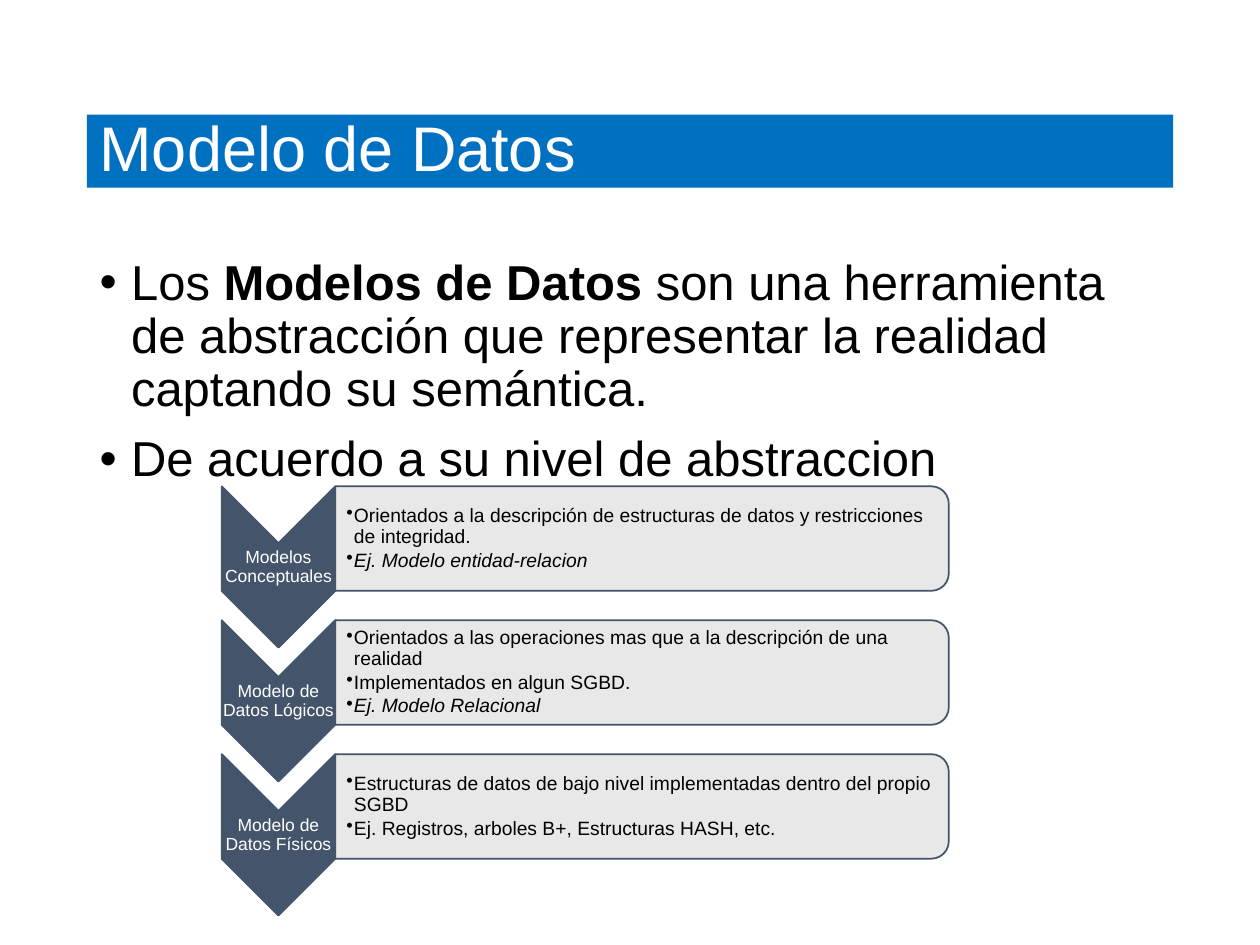
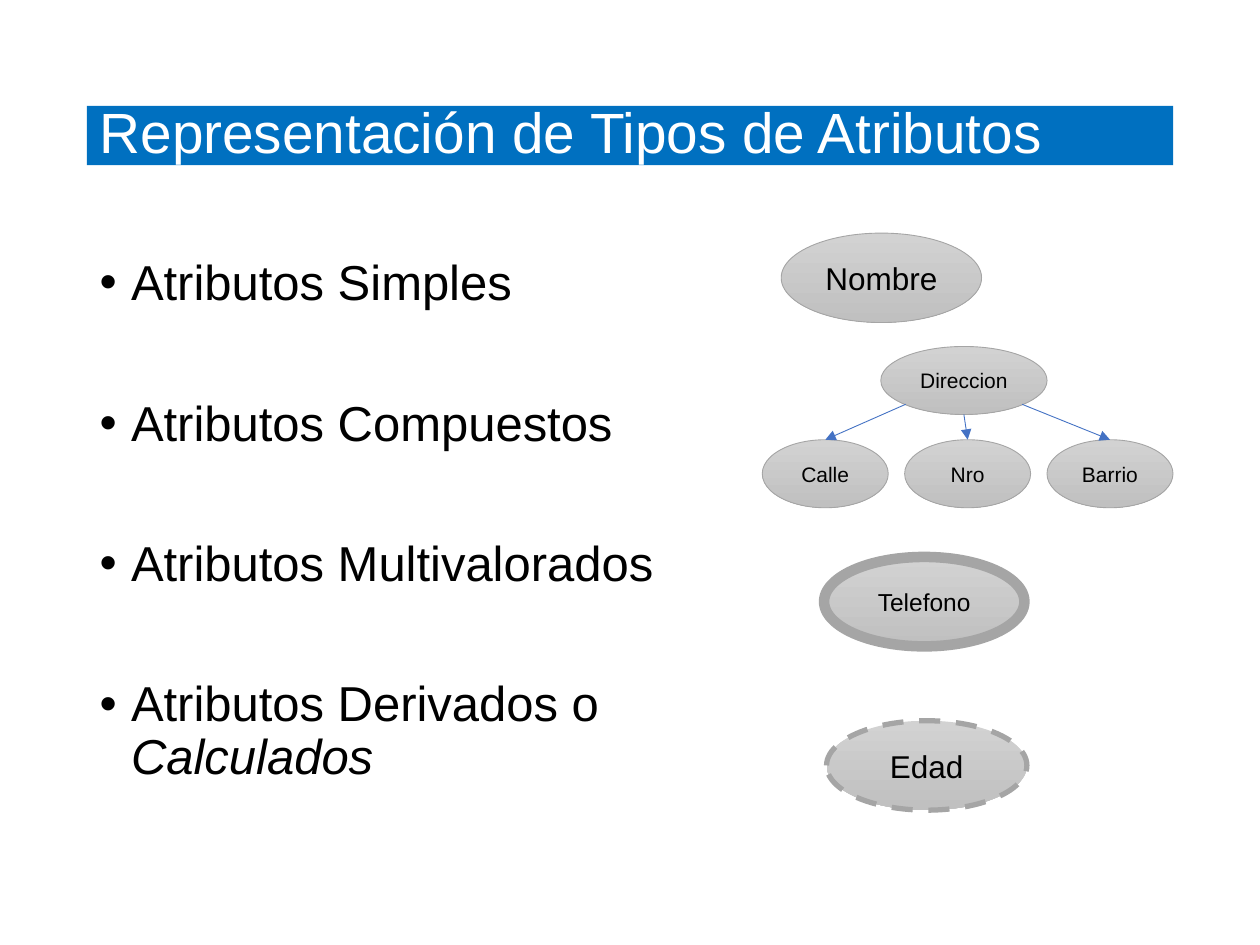
from lxml.etree import SubElement
from pptx import Presentation
from pptx.dml.color import RGBColor
from pptx.enum.dml import MSO_LINE
from pptx.enum.shapes import MSO_CONNECTOR, MSO_SHAPE as SHAPE
from pptx.enum.text import MSO_ANCHOR as ANCHOR, MSO_AUTO_SIZE, PP_ALIGN as ALIGN
from pptx.oxml.ns import qn
from pptx.util import Inches, Pt

COLUMNS, ROWS = 100, 75
WIDTH, HEIGHT = Inches(10), Inches(7.5)
FONT = "Arial"
BLUE, WHITE, BLACK = "0070C0", "FFFFFF", "000000"
SLATE, PANEL = "44546A", "E7E6E6"
GRAY, GRAY_LIGHT, GRAY_DARK, ARROW = "A5A5A5", "D2D2D2", "C0C0C0", "4472C4"
MARGIN, CONTENT_WIDTH = 6.9, 86.2


def color(value):
    return RGBColor.from_string(value)


def write(frame, paragraphs, size, ink=BLACK, align=ALIGN.LEFT, anchor=ANCHOR.MIDDLE,
          spacing=0.9, before=0, after=0, indent=0, insets=None):
    frame.word_wrap = True
    frame.auto_size = MSO_AUTO_SIZE.NONE
    frame.vertical_anchor = anchor
    if insets:
        (frame.margin_left, frame.margin_top,
         frame.margin_right, frame.margin_bottom) = map(Inches, insets)
    for number, runs in enumerate(paragraphs):
        paragraph = frame.add_paragraph() if number else frame.paragraphs[0]
        if indent:
            properties = paragraph._p.get_or_add_pPr()
            properties.set("marL", str(Inches(indent)))
            properties.set("indent", str(-Inches(indent)))
            SubElement(properties, qn("a:buChar"), char="•")
        paragraph.alignment = align
        paragraph.line_spacing = spacing
        paragraph.space_before = Pt(before if number else 0)
        paragraph.space_after = Pt(after)
        for part in [runs] if isinstance(runs, str) else runs:
            text, style = (part, "") if isinstance(part, str) else part
            run = paragraph.add_run()
            run.text = text
            run.font.name = FONT
            run.font.size = Pt(size)
            run.font.color.rgb = color(ink)
            run.font.bold = style == "bold"
            run.font.italic = style == "italic"


class Deck:
    def __init__(self):
        self.presentation = Presentation()
        self.presentation.slide_width, self.presentation.slide_height = WIDTH, HEIGHT
        self.slide = None

    def place(self, left, top, width, height):
        column, row = WIDTH / COLUMNS, HEIGHT / ROWS
        return [int(value) for value in
                (left * column, top * row, width * column, height * row)]

    def move(self, shape, *box):
        shape.left, shape.top, shape.width, shape.height = self.place(*box)

    def start(self, title, top, height, size):
        self.slide = self.presentation.slides.add_slide(self.presentation.slide_layouts[1])
        band = self.slide.shapes.title
        self.move(band, MARGIN, top, CONTENT_WIDTH, height)
        band.fill.solid()
        band.fill.fore_color.rgb = color(BLUE)
        write(band.text_frame, [title], size, ink=WHITE)

    def bullets(self, paragraphs, width, before):
        body = self.slide.placeholders[1]
        self.move(body, MARGIN, 20, width, 47.6)
        write(body.text_frame, paragraphs, 28, anchor=ANCHOR.TOP, before=before, indent=0.25)

    def shape(self, kind, box, line, weight):
        shape = self.slide.shapes.add_shape(kind, *self.place(*box))
        shape.shadow.inherit = False
        shape.line.color.rgb = color(line)
        shape.line.width = Pt(weight)
        return shape

    def turned(self, kind, left, top, width, height, fill, opacity=100):
        shift = (width - height) / 2
        shape = self.shape(kind, (left + shift, top - shift, height, width), SLATE, 1)
        shape.rotation = 90
        shape.fill.solid()
        shape.fill.fore_color.rgb = color(fill)
        if opacity < 100:
            tint = shape.fill._xPr.find(qn("a:solidFill"))[0]
            SubElement(tint, qn("a:alpha"), val=str(opacity * 1000))

    def text(self, paragraphs, box, **style):
        frame = self.slide.shapes.add_textbox(*self.place(*box)).text_frame
        write(frame, paragraphs, **style)

    def attribute(self, label, left, top, width=15.9, height=7.1, size=18,
                  weight=0.5, dashed=False):
        oval = self.shape(SHAPE.OVAL, (left, top, width, height), GRAY, weight)
        oval.fill.gradient()
        oval.fill.gradient_angle = 270
        for stop, shade in zip(oval.fill.gradient_stops, (GRAY_LIGHT, GRAY_DARK)):
            stop.color.rgb = color(shade)
        if dashed:
            oval.line.dash_style = MSO_LINE.DASH
        write(oval.text_frame, [label], size, align=ALIGN.CENTER, spacing=1)

    def arrow(self, start, end):
        points = self.place(*start, *end)
        connector = self.slide.shapes.add_connector(MSO_CONNECTOR.STRAIGHT, *points)
        connector.line.color.rgb = color(ARROW)
        connector.line.width = Pt(0.5)
        SubElement(connector.line._get_or_add_ln(), qn("a:tailEnd"), type="triangle")
        SubElement(connector._element.spPr, qn("a:effectLst"))


def data_models(deck):
    deck.start("Modelo de Datos", top=9.1, height=5.8, size=36)
    deck.bullets([
        ["Los ", ("Modelos de Datos ", "bold"),
         "son una herramienta de abstracción que representar la realidad captando su semántica."],
        "De acuerdo a su nivel de abstraccion",
    ], CONTENT_WIDTH, before=10)
    levels = [
        ("Modelos Conceptuales", [
            "Orientados a la descripción de estructuras de datos y restricciones de integridad.",
            [("Ej. Modelo entidad-relacion", "italic")]]),
        ("Modelo de Datos Lógicos", [
            "Orientados a las operaciones mas que a la descripción de una realidad",
            "Implementados en algun SGBD.",
            [("Ej. Modelo Relacional", "italic")]]),
        ("Modelo de Datos Físicos", [
            "Estructuras de datos de bajo nivel implementadas dentro del propio SGBD",
            "Ej. Registros, arboles B+, Estructuras HASH, etc."]),
    ]
    left, chevron_width, pitch = 17.6, 9, 10.63
    panel_left = left + chevron_width
    for number, (name, details) in enumerate(levels):
        top = 38.6 + number * pitch
        deck.turned(SHAPE.CHEVRON, left, top, chevron_width, 12.8, SLATE)
        deck.text([name], (left, top + 4.5, chevron_width, 3.8), size=10, ink=WHITE,
                  align=ALIGN.CENTER, insets=(0.01,) * 4)
        deck.turned(SHAPE.ROUND_2_SAME_RECTANGLE, panel_left, top, 48.7, 8.3, PANEL, 90)
        deck.text(details, (panel_left, top + 0.4, 48.3, 7.5), size=11, after=1.65,
                  indent=0.06, insets=(0.09, 0.01, 0.01, 0.01))


def attribute_types(deck):
    deck.start("Representación de Tipos de Atributos", top=8.4, height=4.7, size=32.4)
    deck.bullets([
        "Atributos Simples", "Atributos Compuestos", "Atributos Multivalorados",
        ["Atributos Derivados o ", ("Calculados", "italic")],
    ], 52, before=50)
    deck.attribute("Nombre", 62, 18.5)
    left, top, width, height = 69.9, 27.5, 13.2, 5.4
    deck.attribute("Direccion", left, top, width, height, size=12)
    part_top, part_width = 34.9, 10
    exits = [(0.15, 0.85), (0.5, 1), (0.85, 0.85)]
    for number, (part, (across, down)) in enumerate(zip(("Calle", "Nro", "Barrio"), exits)):
        part_left = 60.5 + number * 11.3
        deck.attribute(part, part_left, part_top, part_width, height, size=12)
        deck.arrow((left + across * width, top + down * height),
                   (part_left + part_width / 2, part_top))
    deck.attribute("Telefono", 65.4, 44.2, size=14, weight=6)
    deck.attribute("Edad", 65.6, 57.2, weight=3, dashed=True)


def main():
    deck = Deck()
    data_models(deck)
    attribute_types(deck)
    deck.presentation.save("out.pptx")


if __name__ == "__main__":
    main()
